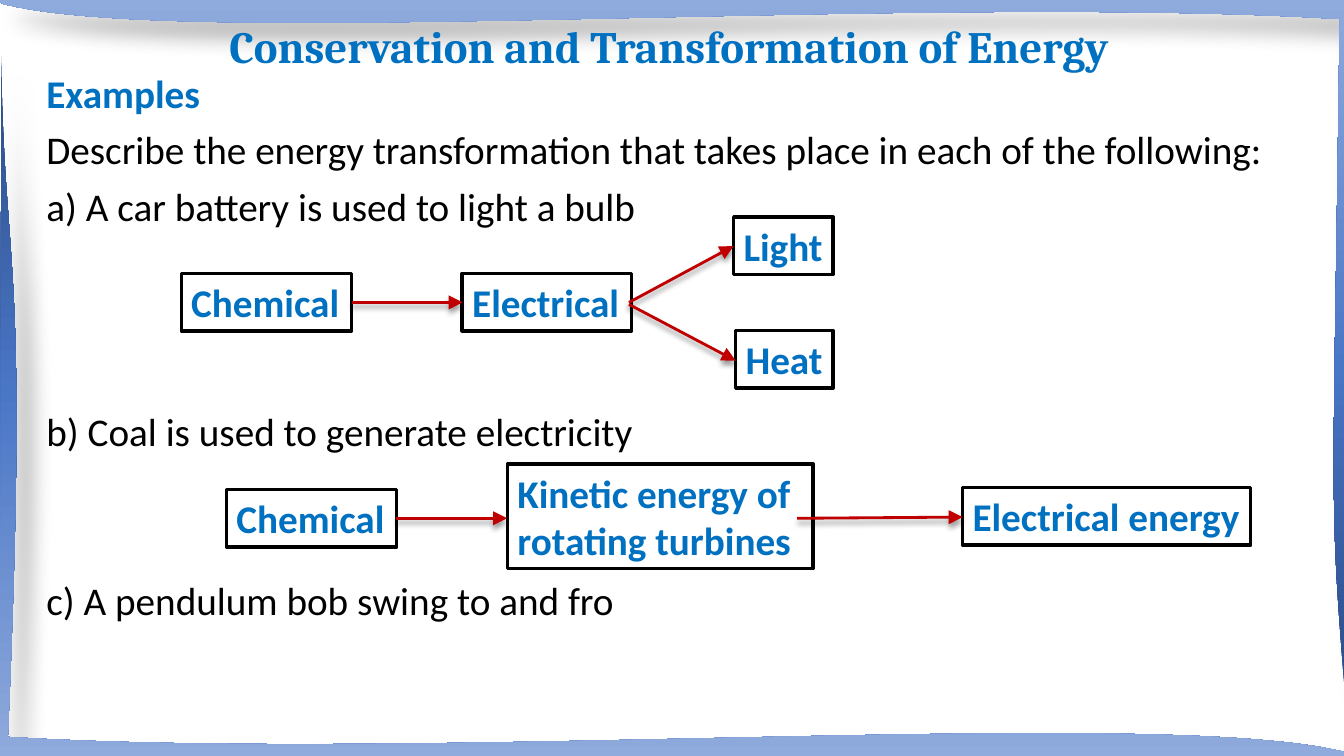
"""Build a slide on how energy is conserved and transformed."""
from copy import deepcopy
from dataclasses import dataclass
from typing import Any

from lxml.etree import SubElement
from pptx import Presentation
from pptx.dml.color import RGBColor
from pptx.enum.shapes import MSO_CONNECTOR
from pptx.enum.text import MSO_ANCHOR, MSO_AUTO_SIZE, PP_ALIGN
from pptx.oxml.ns import qn
from pptx.util import Cm, Pt

STRAIGHT = MSO_CONNECTOR.STRAIGHT
MIDDLE, TOP = MSO_ANCHOR.MIDDLE, MSO_ANCHOR.TOP
GROW, FIXED = MSO_AUTO_SIZE.SHAPE_TO_FIT_TEXT, MSO_AUTO_SIZE.NONE
LEFT, CENTER = PP_ALIGN.LEFT, PP_ALIGN.CENTER
Point = tuple[float, float]


@dataclass(frozen=True)
class Shade:
    blur: float
    gap: float
    angle: int
    alpha: int


@dataclass(frozen=True)
class Theme:
    blue: RGBColor = RGBColor(0x00, 0x70, 0xC0)
    black: RGBColor = RGBColor(0, 0, 0)
    red: RGBColor = RGBColor(0xC0, 0, 0)
    fade: tuple[tuple[float, str], ...] = ((0, "2A4B86"), (0.48, "4A76C6"), (1, "8FAADC"))
    title: int = 32
    body: int = 28
    edge: float = 2.5
    arrow: float = 2
    pitch: float = 40.2
    space: float = 10


@dataclass(frozen=True)
class Frame:
    angle: int
    start: Point
    corner: Point
    curves: tuple[tuple[Point, Point, Point], ...]


@dataclass(frozen=True)
class Box:
    x: float
    y: float
    width: float
    lines: tuple[str, ...]
    height: float = 1.45


@dataclass(frozen=True)
class Arrow:
    x1: float
    y1: float
    x2: float
    y2: float


@dataclass(frozen=True)
class Line:
    text: str
    skip: int = 0
    head: bool = False


THEME = Theme()
TITLE_FONT = {"name": "Cambria", "size": Pt(THEME.title), "bold": True}
HEAD_FONT = {"name": "Calibri", "size": Pt(THEME.body), "bold": True}
BODY_FONT = {**HEAD_FONT, "bold": False}
FRAME_SHADE = Shade(15, 18, 45, 30)
ARROW_SHADE = Shade(4, 3, 90, 40)

FRAMES = (
    Frame(90, (-0.08, 0), (33.96, 0), (
        ((33.93, 5.89), (33.93, 11.76), (33.91, 17.65)),
        ((33.48, 12.29), (33.6, 13.16), (33.76, 0.48)),
        ((22.81, -0.18), (4.75, 1.27), (0.08, 0.1)))),
    Frame(270, (34.04, 19.05), (0, 19.05), (
        ((0, 13.16), (0.03, 7.29), (0.03, 1.4)),
        ((0.1, 7.11), (0.74, 6.07), (0.2, 18.57)),
        ((11.15, 19.23), (29.21, 17.78), (33.88, 18.95)))),
)
LINES = (
    Line("Examples", head=True),
    Line("Describe the energy transformation that takes place in each of the following:"),
    Line("a) A car battery is used to light a bulb"),
    Line("b) Coal is used to generate electricity", skip=3),
    Line("c) A pendulum bob swing to and fro", skip=2),
)
BOXES = (
    Box(4.57, 6.89, 4.29, ("Chemical",)),
    Box(11.65, 6.89, 4.27, ("Electrical",)),
    Box(18.49, 5.47, 2.51, ("Light",)),
    Box(18.54, 8.33, 2.46, ("Heat",)),
    Box(5.71, 12.33, 4.29, ("Chemical",)),
    Box(12.79, 11.69, 7.7, ("Kinetic energy of", "rotating turbines"), 2.64),
    Box(24.26, 12.29, 7.26, ("Electrical energy",)),
)
ARROWS = (
    Arrow(8.86, 7.62, 11.66, 7.62),
    Arrow(15.85, 7.62, 18.49, 6.2),
    Arrow(15.85, 7.67, 18.54, 9.09),
    Arrow(9.98, 13.06, 12.78, 13.06),
    Arrow(20.09, 13.06, 24.26, 13.03),
)


def apply(target: Any, values: dict[str, Any]) -> None:
    """Set each named value on the target."""
    for name, value in values.items():
        setattr(target, name, value)


def add_shade(effects: Any, shade: Shade) -> None:
    """Put an outer shadow in an effect list."""
    outer = SubElement(effects, qn("a:outerShdw"), blurRad=str(Pt(shade.blur)),
                       dist=str(Pt(shade.gap)), dir=str(shade.angle * 60000),
                       algn="ctr", rotWithShape="0")
    color = SubElement(outer, qn("a:srgbClr"), val=str(THEME.black))
    SubElement(color, qn("a:alpha"), val=str(shade.alpha * 1000))


def bend(shape: Any, frame: Frame) -> None:
    """Turn the straight sides after the corner into curves."""
    sides = shape._element.spPr.findall(".//" + qn("a:lnTo"))[1:]
    for side, curve in zip(sides, frame.curves):
        side.tag = qn("a:cubicBezTo")
        side.remove(side[0])
        for x, y in curve:
            SubElement(side, qn("a:pt"), x=str(Cm(x) - shape.left), y=str(Cm(y) - shape.top))


def add_frame(shapes: Any, frame: Frame) -> None:
    """Draw one shaded edge of the page."""
    x, y = frame.start
    ends = (frame.corner, *(curve[-1] for curve in frame.curves))
    maker = shapes.build_freeform(Cm(x), Cm(y))
    maker.add_line_segments([(Cm(a), Cm(b)) for a, b in ends], close=True)
    shape = maker.convert_to_shape()
    bend(shape, frame)
    shape.line.fill.background()
    shape.fill.gradient()
    shape.fill.gradient_angle = frame.angle
    props = shape._element.spPr
    stops = props.find(".//" + qn("a:gsLst"))
    stops.append(deepcopy(stops[-1]))
    for stop, (place, color) in zip(shape.fill.gradient_stops, THEME.fade):
        stop.position = place
        stop.color.rgb = RGBColor.from_string(color)
    shape.shadow.inherit = False
    add_shade(props.find(qn("a:effectLst")), FRAME_SHADE)


def add_text(shapes: Any, box: Box, font: dict[str, Any], form: dict[str, Any],
             para: dict[str, Any]) -> Any:
    """Add a blue text box and return its shape."""
    shape = shapes.add_textbox(Cm(box.x), Cm(box.y), Cm(box.width), Cm(box.height))
    frame = shape.text_frame
    frame.text = "\n".join(box.lines)
    apply(frame, form)
    for item in frame.paragraphs:
        apply(item, para)
        apply(item.font, font)
        item.font.color.rgb = THEME.blue
    return shape


def add_body(shapes: Any) -> None:
    """Write the heading and the questions."""
    box = Box(1.17, 1.88, 31.42, tuple(line.text for line in LINES), 17)
    form = {"word_wrap": True, "auto_size": FIXED, "vertical_anchor": TOP,
            "margin_left": 0, "margin_right": 0, "margin_top": 0, "margin_bottom": 0}
    shape = add_text(shapes, box, HEAD_FONT, form, {"line_spacing": 0.9, "alignment": LEFT})
    for order, (item, line) in enumerate(zip(shape.text_frame.paragraphs, LINES)):
        if order:
            item.space_before = Pt(THEME.space + line.skip * THEME.pitch)
        if not line.head:
            apply(item.font, BODY_FONT)
            item.font.color.rgb = THEME.black


def add_arrow(shapes: Any, arrow: Arrow) -> None:
    """Draw a red arrow with a soft shadow."""
    link = shapes.add_connector(STRAIGHT, Cm(arrow.x1), Cm(arrow.y1), Cm(arrow.x2), Cm(arrow.y2))
    link.line.color.rgb = THEME.red
    link.line.width = Pt(THEME.arrow)
    props = link._element.spPr
    SubElement(props.find(qn("a:ln")), qn("a:tailEnd"), type="triangle", w="lg", len="lg")
    add_shade(SubElement(props, qn("a:effectLst")), ARROW_SHADE)


def main() -> None:
    """Build the slide and save it."""
    deck = Presentation()
    apply(deck, {"slide_width": Cm(33.87), "slide_height": Cm(19.05)})
    shapes = deck.slides.add_slide(deck.slide_layouts[6]).shapes
    for frame in FRAMES:
        add_frame(shapes, frame)
    title = Box(2.67, 0.48, 28.4, ("Conservation and Transformation of Energy",), 1.5)
    add_text(shapes, title, TITLE_FONT,
             {"word_wrap": True, "auto_size": FIXED, "vertical_anchor": MIDDLE},
             {"line_spacing": 0.9, "alignment": CENTER})
    add_body(shapes)
    for box in BOXES:
        shape = add_text(shapes, box, HEAD_FONT, {"word_wrap": False, "auto_size": GROW},
                         {"alignment": LEFT})
        shape.line.color.rgb = THEME.black
        shape.line.width = Pt(THEME.edge)
    for arrow in ARROWS:
        add_arrow(shapes, arrow)
    deck.save("out.pptx")


if __name__ == "__main__":
    main()
